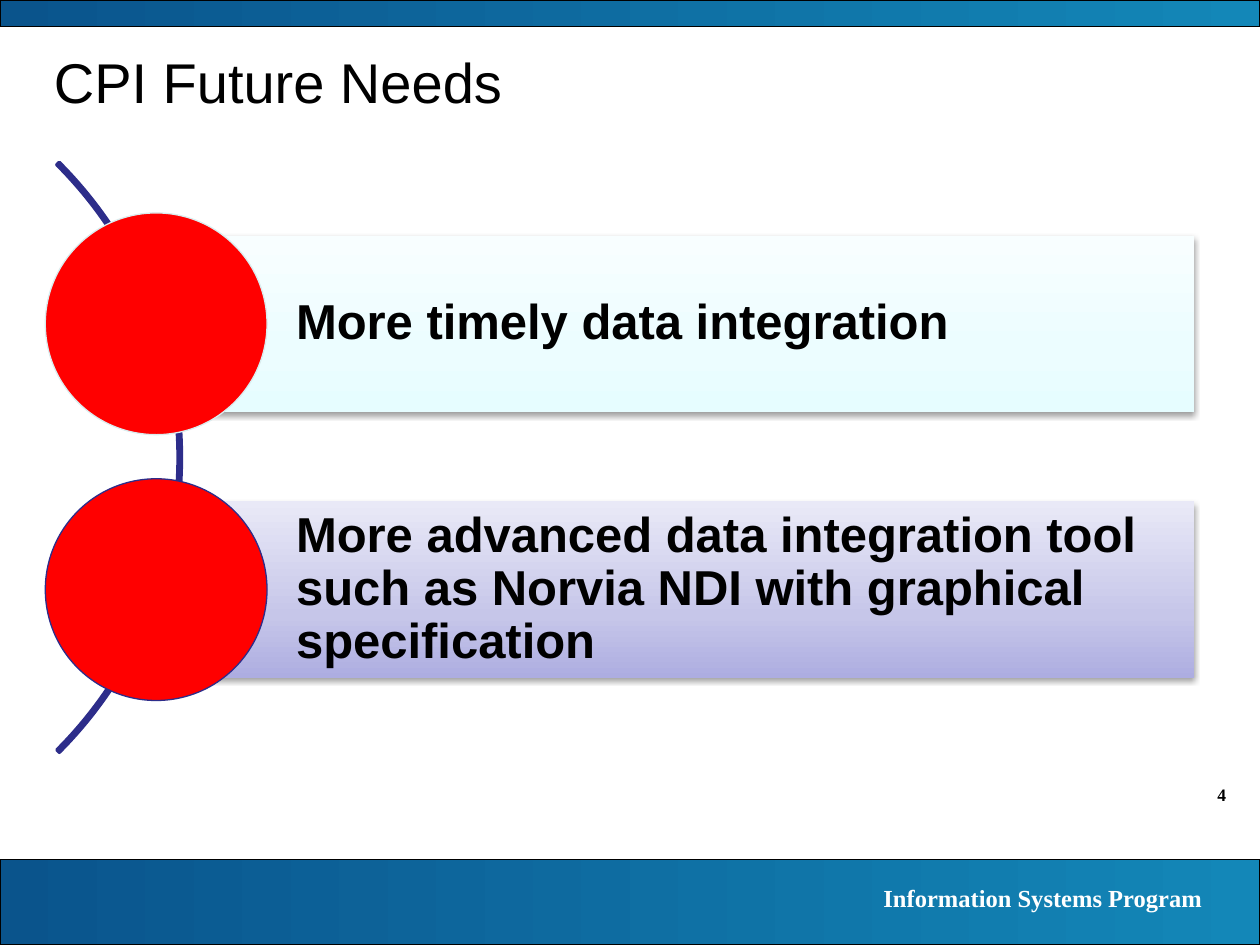
from dataclasses import dataclass

from lxml.etree import SubElement
from pptx import Presentation
from pptx.dml.color import RGBColor
from pptx.enum.shapes import MSO_SHAPE
from pptx.enum.text import MSO_ANCHOR, PP_ALIGN
from pptx.oxml.ns import qn
from pptx.util import Emu, Pt

PX = 9144  # 100 px to the inch


@dataclass(frozen=True)
class Theme:
    sans: str = "Arial"
    serif: str = "Times New Roman"
    black: str = "000000"
    white: str = "FFFFFF"
    navy: str = "2D2D8A"
    red: str = "FF0000"
    pale: str = "DAEDEF"
    band: tuple = ((0, "0A548C"), (100, "1387B8"))
    ice: tuple = ((0, "E6FDFF"), (35, "ECFDFF"), (100, "F8FEFF"))
    lilac: tuple = ((0, "ADADE1"), (35, "C6C6E9"), (100, "E9E9F7"))
    title: int = 32
    body: int = 28
    foot: int = 14
    page: int = 10


T = Theme()


def px(*vals):
    return [Emu(v * PX) for v in vals]


def add_shape(slide, kind, box, line=None, width=0.75):
    shape = slide.shapes.add_shape(kind, *px(*box))
    shape.shadow.inherit = False
    if line:
        shape.line.color.rgb = RGBColor.from_string(line)
        shape.line.width = Pt(width)
    else:
        shape.line.fill.background()
    return shape


def set_solid(shape, color):
    shape.fill.solid()
    shape.fill.fore_color.rgb = RGBColor.from_string(color)


def set_grad(shape, stops, angle):
    shape.fill.gradient()
    grad = shape._element.spPr.find(qn("a:gradFill"))
    grad.find(qn("a:lin")).set("ang", str(angle * 60000))
    items = grad.find(qn("a:gsLst"))
    for old in list(items):
        items.remove(old)
    for pos, color in stops:
        stop = SubElement(items, qn("a:gs"), pos=str(pos * 1000))
        SubElement(stop, qn("a:srgbClr"), val=color)


def set_shadow(shape):
    effects = shape._element.spPr.find(qn("a:effectLst"))
    outer = SubElement(effects, qn("a:outerShdw"), blurRad=str(Pt(3.1)),
                       dist=str(Pt(1.6)), dir="5400000", rotWithShape="0")
    color = SubElement(outer, qn("a:srgbClr"), val=T.black)
    SubElement(color, qn("a:alpha"), val="38000")


def add_text(slide, box, text, size, font, color=T.black, bold=False,
             align=PP_ALIGN.LEFT):
    frame = slide.shapes.add_textbox(*px(*box)).text_frame
    frame.word_wrap = True
    frame.text = text
    para = frame.paragraphs[0]
    para.alignment = align
    style = para.runs[0].font
    style.size, style.name, style.bold = Pt(size), font, bold
    style.color.rgb = RGBColor.from_string(color)
    return frame


def add_band(slide, box):
    band = add_shape(slide, MSO_SHAPE.RECTANGLE, box, T.black)
    set_grad(band, T.band, 0)


def add_footer(slide, box):
    x, y, w, h = box
    add_band(slide, box)
    add_text(slide, (x + 555, y + 14, w - 591, 34), "Information Systems Program",
             T.foot, T.serif, T.white, True, PP_ALIGN.RIGHT)


def add_need(slide, box, text, stops, ring):
    x, y, w, h = box
    radius = h // 2
    bar = (x + radius, y + 18, w - radius, h - 36)

    # Bar and its label
    rect = add_shape(slide, MSO_SHAPE.RECTANGLE, bar)
    set_grad(rect, stops, 270)
    set_shadow(rect)
    frame = add_text(slide, bar, text, T.body, T.sans, bold=True)
    frame.vertical_anchor = MSO_ANCHOR.MIDDLE
    frame.margin_left, frame.margin_top = px(111, 8)
    frame.margin_right, frame.margin_bottom = px(8, 8)
    frame.paragraphs[0].line_spacing = 0.9

    # Disc over the bar's left end
    disc = add_shape(slide, MSO_SHAPE.OVAL, (x, y, h, h), ring)
    set_solid(disc, T.red)


def add_list(slide, box, needs):
    x, y, w, h = box

    # Curve behind the discs, from -45 to 45 degrees
    arc = add_shape(slide, MSO_SHAPE.BLOCK_ARC, (x - 554, y, h, h), T.navy, 2)
    arc.fill.background()
    for i, val in enumerate((189, 27, 0.004)):
        arc.adjustments[i] = val

    # Rows at an equal pitch
    for i, need in enumerate(needs):
        add_need(slide, (x, y + 137 + 211 * i, w, 176), *need)


def main():
    deck = Presentation()
    deck.slide_width, deck.slide_height = px(1000, 750)
    slide = deck.slides.add_slide(deck.slide_layouts[6])

    # Frame of the slide
    add_text(slide, (900, 617, 83, 27), "4", T.page, T.serif,
             bold=True, align=PP_ALIGN.RIGHT)
    add_footer(slide, (0, 682, 1000, 68))
    add_band(slide, (0, 0, 1000, 21))

    # Title and list
    add_text(slide, (33, 33, 917, 75), "CPI Future Needs", T.title, T.sans)
    add_list(slide, (36, 32, 912, 662), (
        ("More timely data integration", T.ice, T.pale),
        ("More advanced data integration tool such as Norvia NDI with "
         "graphical specification", T.lilac, T.navy),
    ))
    deck.save("out.pptx")


if __name__ == "__main__":
    main()
